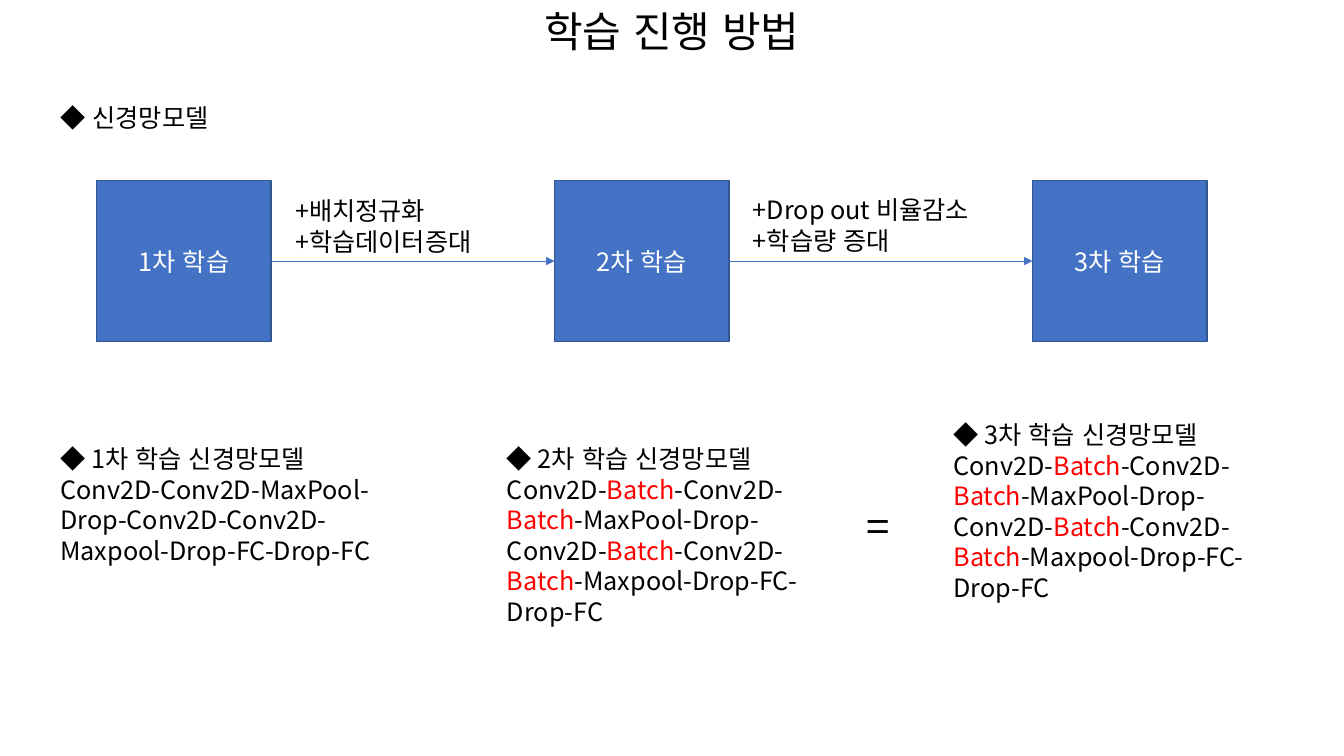
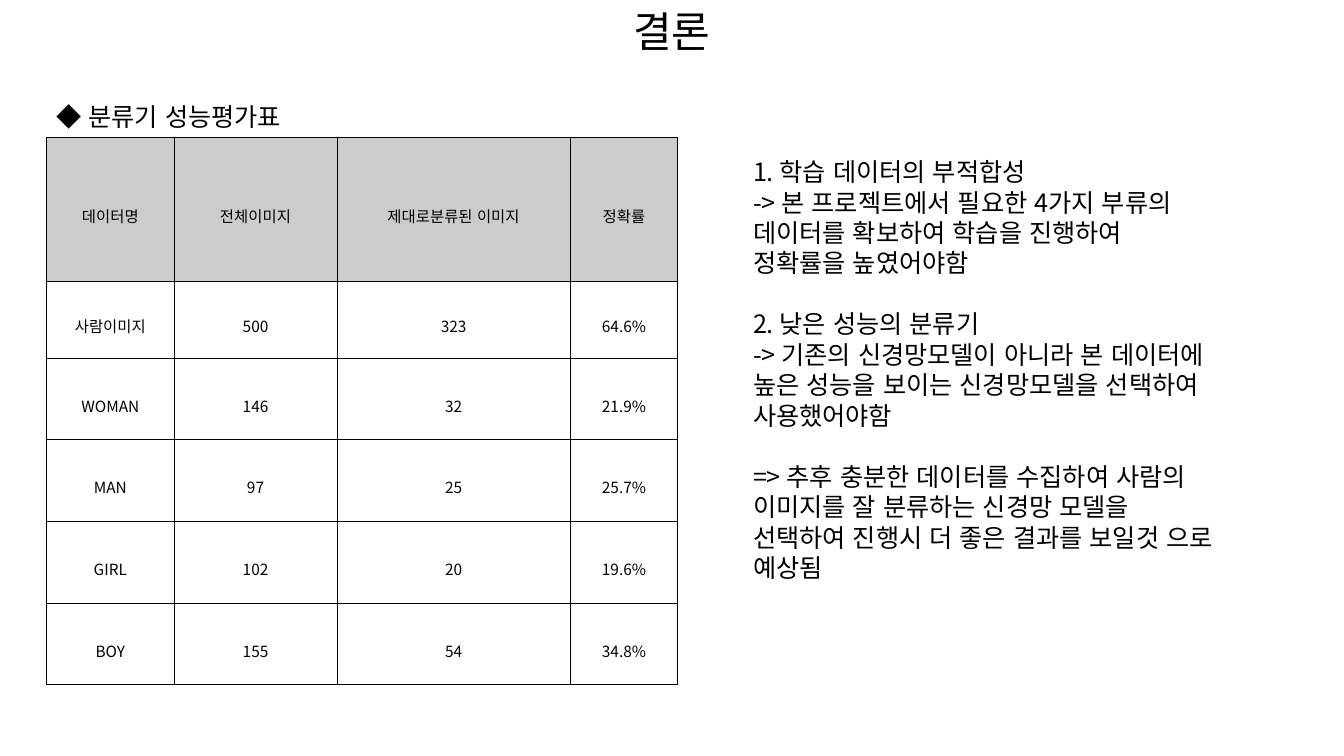
import dataclasses
import itertools

import lxml.etree
import pptx
import pptx.dml.color
import pptx.enum.dml
import pptx.enum.lang
import pptx.enum.shapes
import pptx.enum.text
import pptx.oxml.ns
import pptx.util

Inches = pptx.util.Inches
Pt = pptx.util.Pt
Align = pptx.enum.text.PP_ALIGN
Anchor = pptx.enum.text.MSO_ANCHOR
qn = pptx.oxml.ns.qn


@dataclasses.dataclass(frozen=True)
class Theme:
    font: str = "Noto Sans CJK KR"
    text: str = "000000"
    accent: str = "FF0000"
    inverse: str = "FFFFFF"
    box: str = "4472C4"
    box_line: str = "325491"
    header: str = "CCCCCC"
    cell: str = "FFFFFF"
    title_size: float = 30
    body_size: float = 18
    table_size: float = 11
    leading: float = 1.21
    table_leading: float = 1.6


THEME = Theme()
SLIDE_W, SLIDE_H = 13.33, 7.5
KEYWORD = "Batch"

STAGE_TOP, STAGE_W, STAGE_H = 1.79, 1.73, 1.6
STAGES = [(0.96, "1차 학습"), (5.5, "2차 학습"), (10.24, "3차 학습")]
CHANGES = [
    (1.89, ["+배치정규화", "+학습데이터증대"]),
    (1.88, ["+Drop out 비율감소", "+학습량 증대"]),
]

PLAIN_MODEL = "Conv2D-Conv2D-MaxPool-Drop-Conv2D-Conv2D-Maxpool-Drop-FC-Drop-FC"
BATCH_MODEL = (
    "Conv2D-Batch-Conv2D-Batch-MaxPool-Drop-"
    "Conv2D-Batch-Conv2D-Batch-Maxpool-Drop-FC-Drop-FC"
)
MODEL_LEFT, MODEL_STEP, MODEL_W = 0.5, 4.43, 3.47
MODELS = [
    (4.35, 1.31, "◆ 1차 학습 신경망모델", PLAIN_MODEL),
    (4.35, 1.92, "◆ 2차 학습 신경망모델", BATCH_MODEL),
    (4.11, 1.92, "◆ 3차 학습 신경망모델", BATCH_MODEL),
]

COLUMN_WIDTHS = [1.27, 1.61, 2.32, 1.06]
ROW_HEIGHTS = [1.43, 0.76] + [0.81] * 4
RESULTS = [
    ["데이터명", "전체이미지", "제대로분류된 이미지", "정확률"],
    ["사람이미지", "500", "323", "64.6%"],
    ["WOMAN", "146", "32", "21.9%"],
    ["MAN", "97", "25", "25.7%"],
    ["GIRL", "102", "20", "19.6%"],
    ["BOY", "155", "54", "34.8%"],
]
CONCLUSIONS = [
    "1. 학습 데이터의 부적합성",
    "-> 본 프로젝트에서 필요한 4가지 부류의 데이터를 확보하여 학습을 진행하여 정확률을 높였어야함",
    "2. 낮은 성능의 분류기",
    "-> 기존의 신경망모델이 아니라 본 데이터에 높은 성능을 보이는 신경망모델을 선택하여 사용했어야함",
    "=> 추후 충분한 데이터를 수집하여 사람의 이미지를 잘 분류하는 신경망 모델을 선택하여 진행시 더 좋은 결과를 보일것 으로 예상됨",
]


def rgb(value):
    return pptx.dml.color.RGBColor.from_string(value)


def style_run(r, size, color):
    r.font.size = Pt(size)
    r.font.bold = False
    r.font.color.rgb = rgb(color)
    r.font.name = THEME.font
    r.font.language_id = pptx.enum.lang.MSO_LANGUAGE_ID.KOREAN
    ea = lxml.etree.SubElement(r.font._element, qn("a:ea"))
    ea.set("typeface", THEME.font)


def style_paragraph(p, size, color, align, spacing):
    p.alignment = align
    p.line_spacing = spacing
    for r in p.runs:
        style_run(r, size, color)


def fill_frame(tf, lines, size=THEME.body_size, color=THEME.text, align=Align.LEFT):
    tf.word_wrap = True
    tf.text = "\n".join(lines)
    for p in tf.paragraphs:
        style_paragraph(p, size, color, align, Pt(size * THEME.leading))


def add_text(s, left, top, width, height, lines, **style):
    box = s.shapes.add_textbox(Inches(left), Inches(top), Inches(width), Inches(height))
    fill_frame(box.text_frame, lines, **style)
    return box.text_frame


def highlight_keyword(p):
    parts = p.text.split(KEYWORD)
    p.clear()
    for i, part in enumerate(parts):
        if i:
            r = p.add_run()
            r.text = KEYWORD
            style_run(r, THEME.body_size, THEME.accent)
        r = p.add_run()
        r.text = part
        style_run(r, THEME.body_size, THEME.text)


def add_titled_slide(prs, title):
    s = prs.slides.add_slide(prs.slide_layouts[6])
    add_text(s, 0, 0, SLIDE_W, 0.61, [title], size=THEME.title_size, align=Align.CENTER)
    return s


def add_stage(s, left, label):
    sp = s.shapes.add_shape(
        pptx.enum.shapes.MSO_SHAPE.RECTANGLE,
        Inches(left), Inches(STAGE_TOP), Inches(STAGE_W), Inches(STAGE_H),
    )
    sp.shadow.inherit = False
    sp.fill.solid()
    sp.fill.fore_color.rgb = rgb(THEME.box)
    sp.line.color.rgb = rgb(THEME.box_line)
    sp.line.width = Pt(1)
    fill_frame(sp.text_frame, [label], color=THEME.inverse, align=Align.CENTER)
    sp.text_frame.vertical_anchor = Anchor.MIDDLE
    return sp


def add_arrow(s, source, target):
    arrow = s.shapes.add_connector(pptx.enum.shapes.MSO_CONNECTOR.STRAIGHT, 0, 0, 0, 0)
    arrow.begin_connect(source, 3)
    arrow.end_connect(target, 1)
    arrow.line.color.rgb = rgb(THEME.box)
    arrow.line.width = Pt(0.5)
    tail = lxml.etree.SubElement(arrow.line._get_or_add_ln(), qn("a:tailEnd"))
    tail.set("type", "triangle")
    lxml.etree.SubElement(arrow._element.spPr, qn("a:effectLst"))


def add_borders(cell):
    tc_pr = cell._tc.get_or_add_tcPr()
    for side in ("lnL", "lnR", "lnT", "lnB"):
        ln = lxml.etree.SubElement(tc_pr, qn(f"a:{side}"))
        ln.set("w", str(Pt(0.28)))
        fill = lxml.etree.SubElement(ln, qn("a:solidFill"))
        lxml.etree.SubElement(fill, qn("a:srgbClr")).set("val", THEME.text)


def style_cell(cell, text, fill):
    cell.text_frame.text = text
    cell.vertical_anchor = Anchor.MIDDLE
    cell.margin_left = cell.margin_right = Inches(0.07)
    cell.margin_top = cell.margin_bottom = Inches(0.02)
    style_paragraph(
        cell.text_frame.paragraphs[0],
        THEME.table_size, THEME.text, Align.CENTER, THEME.table_leading,
    )
    add_borders(cell)
    cell.fill.solid()
    cell.fill.fore_color.rgb = rgb(fill)


def add_results_table(s, left, top):
    table = s.shapes.add_table(
        len(ROW_HEIGHTS), len(COLUMN_WIDTHS), Inches(left), Inches(top),
        Inches(sum(COLUMN_WIDTHS)), Inches(sum(ROW_HEIGHTS)),
    ).table
    table.first_row = table.horz_banding = False
    for column, width in zip(table.columns, COLUMN_WIDTHS):
        column.width = Inches(width)
    for i, (row, height, values) in enumerate(zip(table.rows, ROW_HEIGHTS, RESULTS)):
        row.height = Inches(height)
        for cell, value in zip(row.cells, values):
            style_cell(cell, value, THEME.cell if i else THEME.header)


def build_method(prs):
    s = add_titled_slide(prs, "학습 진행 방법")
    add_text(s, 0.5, 0.96, 3.25, 0.4, ["◆ 신경망모델"])
    stages = [add_stage(s, left, label) for left, label in STAGES]
    for source, target in itertools.pairwise(stages):
        add_arrow(s, source, target)
    for (left, _), (top, lines) in zip(STAGES, CHANGES):
        add_text(s, left + STAGE_W + 0.14, top, 2.74, 0.71, lines)
    for i, (top, height, heading, layers) in enumerate(MODELS):
        left = MODEL_LEFT + i * MODEL_STEP
        tf = add_text(s, left, top, MODEL_W, height, [heading, layers])
        highlight_keyword(tf.paragraphs[1])
    add_text(s, 8.5, 4.91, 0.38, 0.61, ["="], size=THEME.title_size)


def build_conclusion(prs):
    s = add_titled_slide(prs, "결론")
    add_results_table(s, 0.46, 1.36)
    add_text(s, 0.46, 0.95, 6.26, 0.4, ["◆ 분류기 성능평가표"])
    tf = add_text(s, 7.37, 1.5, 4.78, 4.34, CONCLUSIONS)
    for p in tf.paragraphs[1:]:
        if not p.text.startswith("->"):
            p.space_before = Pt(THEME.body_size * THEME.leading)


def main():
    prs = pptx.Presentation()
    prs.slide_width = Inches(SLIDE_W)
    prs.slide_height = Inches(SLIDE_H)
    build_method(prs)
    build_conclusion(prs)
    prs.save("out.pptx")


if __name__ == "__main__":
    main()
